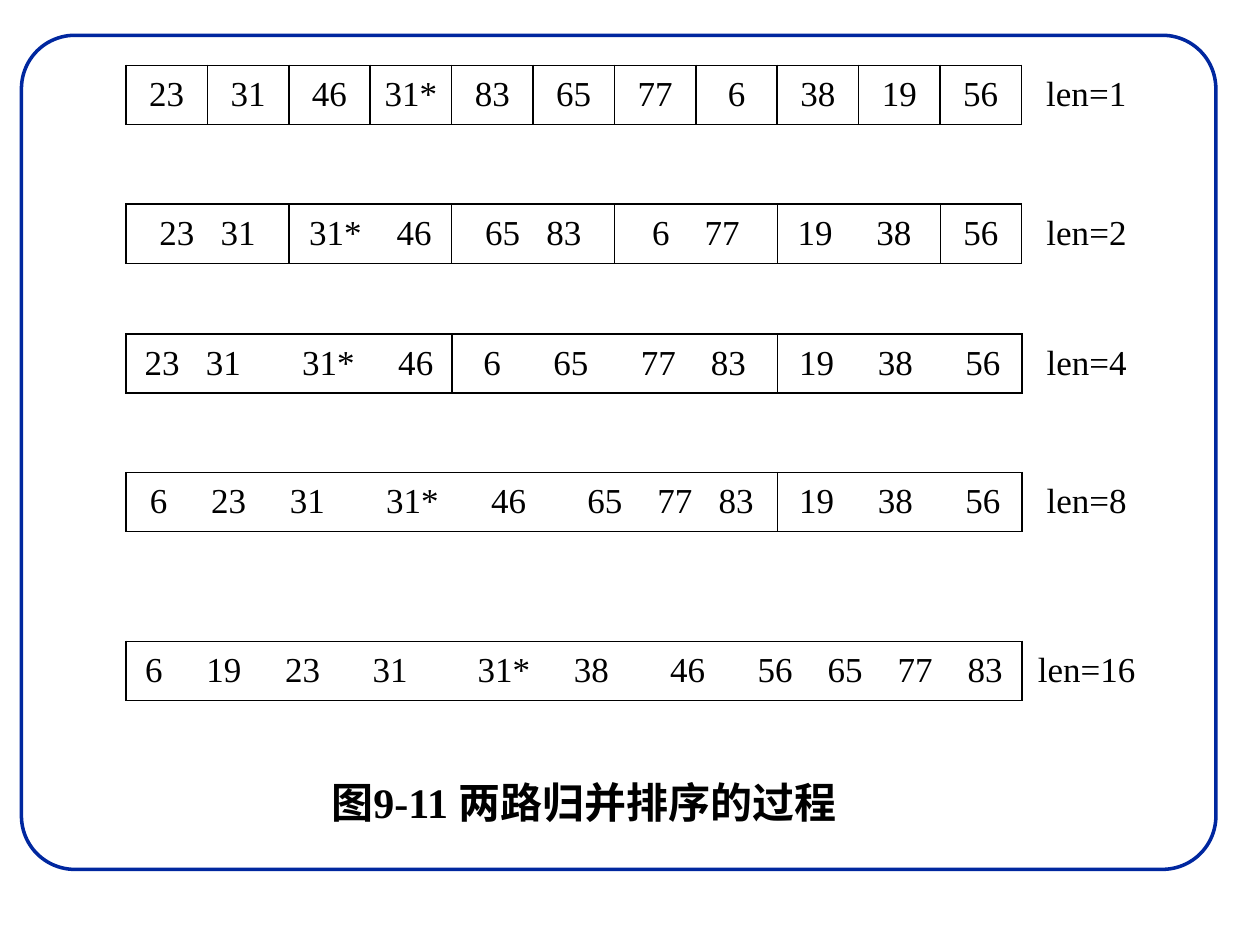
from dataclasses import dataclass
from lxml.etree import SubElement
from pptx import Presentation
from pptx.dml.color import RGBColor
from pptx.enum.shapes import MSO_SHAPE
from pptx.enum.text import MSO_ANCHOR, PP_ALIGN
from pptx.oxml.ns import qn
from pptx.util import Emu, Inches, Pt


@dataclass(frozen=True)
class Theme:
    font: str = "Times New Roman"
    ink: str = "000000"
    frame: str = "00279F"
    body: int = 20
    title: int = 24


THEME = Theme()
UNIT = 7.11 / 11  # width of one number's column, inches
LABEL = 1.03
HIGH = 0.47
PAD = 0.09


def put(frame, text, size=THEME.body, bold=False, align=PP_ALIGN.CENTER, tabs=()):
    """Write one paragraph; tabs are left stops in points."""
    para = frame.paragraphs[0]
    para.alignment = align
    run = para.add_run()
    run.text = text
    run.font.name = THEME.font
    run.font.size = Pt(size)
    run.font.bold = bold
    run.font.color.rgb = RGBColor.from_string(THEME.ink)
    if tabs:
        stops = SubElement(para._p.get_or_add_pPr(), qn("a:tabLst"))
        for stop in tabs:
            SubElement(stops, qn("a:tab"), pos=str(Pt(stop)), algn="l")


class Board:
    """Places parts on the slide; x, y, w, h are percent of its size."""

    def __init__(self, deck, theme):
        self.deck, self.theme = deck, theme
        self.slide = deck.slides.add_slide(deck.slide_layouts[6])

    def area(self, x, y, w, h):
        wide, high = self.deck.slide_width, self.deck.slide_height
        return [Emu(round(part * side / 100))
                for part, side in zip((x, y, w, h), (wide, high) * 2)]

    def border(self, x, y, w, h):
        box = self.slide.shapes.add_shape(MSO_SHAPE.ROUNDED_RECTANGLE, *self.area(x, y, w, h))
        box.adjustments[0] = 0.064
        box.shadow.inherit = False
        box.fill.background()
        box.line.color.rgb = RGBColor.from_string(self.theme.frame)
        box.line.width = Pt(2)

    def title(self, text, x, y, w, h):
        frame = self.slide.shapes.add_textbox(*self.area(x, y, w, h)).text_frame
        frame.word_wrap = True
        put(frame, text, size=self.theme.title, bold=True)

    def edges(self, cell, shown):
        """Draw the sides named in shown and hide the others."""
        props = cell._tc.get_or_add_tcPr()
        for side in "LRTB":
            line = SubElement(props, qn(f"a:ln{side}"), w=str(Pt(1)))
            if side in shown:
                fill = SubElement(line, qn("a:solidFill"))
                SubElement(fill, qn("a:srgbClr"), val=self.theme.ink)
            else:
                SubElement(line, qn("a:noFill"))
        cell.fill.background()

    def group(self, cell, nums, gaps):
        """Centre a sorted group; gaps are in quarter ems."""
        em = self.theme.body
        spots, spot = [], 0
        for num, gap in zip(nums, gaps + [0]):
            spots.append(spot)
            spot += len(num) * em / 2 + gap * em / 4
        if len(nums) == 1:
            put(cell.text_frame, nums[0])
            return
        cell.margin_left = Pt((len(nums) * UNIT * 72 - spot) / 2)
        cell.margin_right = 0
        put(cell.text_frame, "\t".join(nums), align=PP_ALIGN.LEFT, tabs=spots[1:])

    def strip(self, y, label, groups):
        """Draw one pass: a cell per group, then its label."""
        split = [(nums.split(), list(gaps)) for nums, gaps in groups]
        wides = [len(nums) * UNIT for nums, _ in split] + [LABEL]
        left, top, *_ = self.area(10, y, 0, 0)
        table = self.slide.shapes.add_table(
            1, len(wides), left, top, Inches(sum(wides)), Inches(HIGH)).table
        table.first_row = table.horz_banding = False
        table.rows[0].height = Inches(HIGH)
        for i, wide in enumerate(wides):
            table.columns[i].width = Inches(wide)
            cell = table.cell(0, i)
            cell.vertical_anchor = MSO_ANCHOR.MIDDLE
            cell.margin_left = cell.margin_right = Inches(PAD)
            if i < len(split):
                self.edges(cell, "LRTB")
                self.group(cell, *split[i])
            else:
                self.edges(cell, "L")
                put(cell.text_frame, label)


# Each pass: top, label, groups of numbers with the gaps after them
LAST = ("19 38 56", [5, 6])
PASSES = [
    (6.93, "len=1", [(num, []) for num in "23 31 46 31* 83 65 77 6 38 19 56".split()]),
    (21.6, "len=2", [("23 31", [3]), ("31* 46", [4]), ("65 83", [3]),
                     ("6 77", [4]), ("19 38", [5, 1]), ("56", [])]),
    (35.33, "len=4", [("23 31 31* 46", [3, 7, 5]), ("6 65 77 83", [6, 6, 4]), LAST]),
    (50, "len=8", [("6 23 31 31* 46 65 77 83", [5, 5, 7, 6, 7, 4, 3]), LAST]),
    (67.87, "len=16", [("6 19 23 31 31* 38 46 56 65 77 83",
                        [5, 5, 6, 8, 5, 7, 6, 4, 4, 4])]),
]


def main():
    deck = Presentation()
    deck.slide_width, deck.slide_height = Inches(10), Inches(7.5)
    board = Board(deck, THEME)
    # Frame and caption
    board.border(1.7, 3.73, 94.8, 88.27)
    board.title("图9-11 两路归并排序的过程", 19.5, 81.47, 53.7, 6.67)
    # Merge passes
    for y, label, groups in PASSES:
        board.strip(y, label, groups)
    deck.save("out.pptx")


if __name__ == "__main__":
    main()
